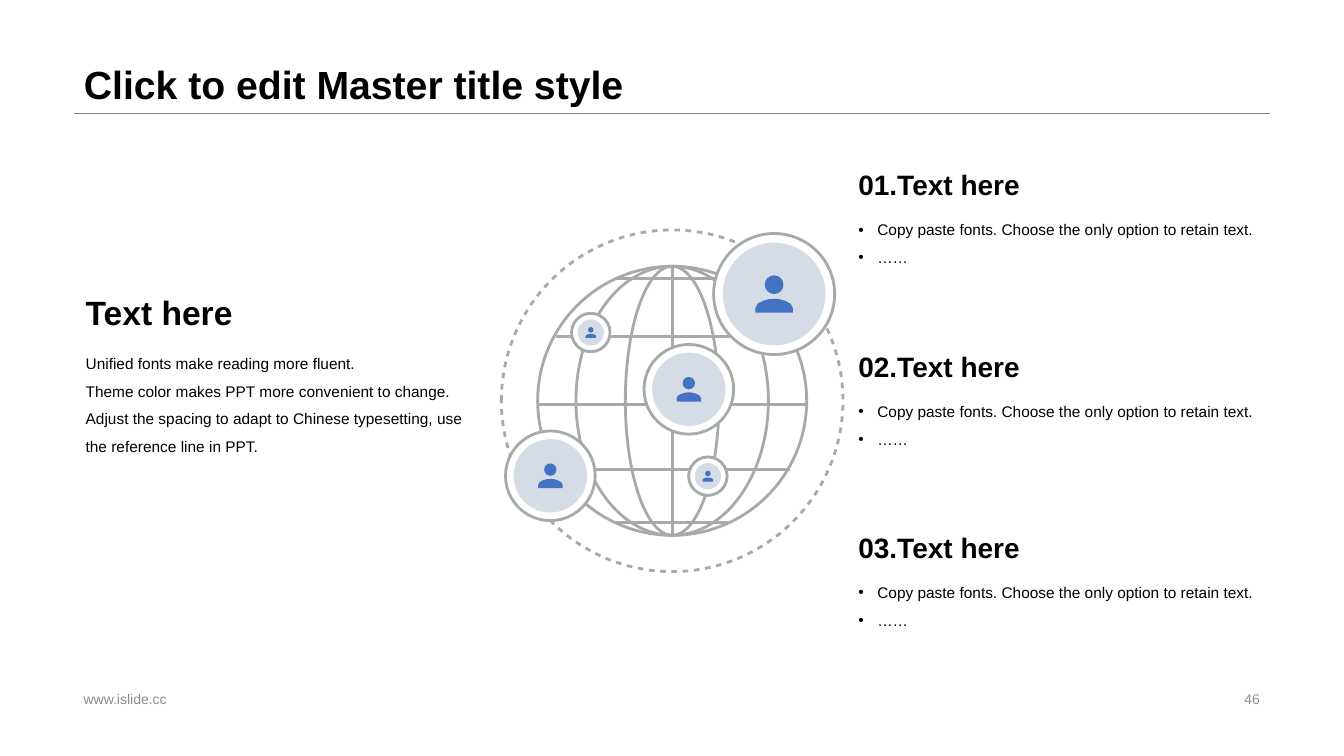
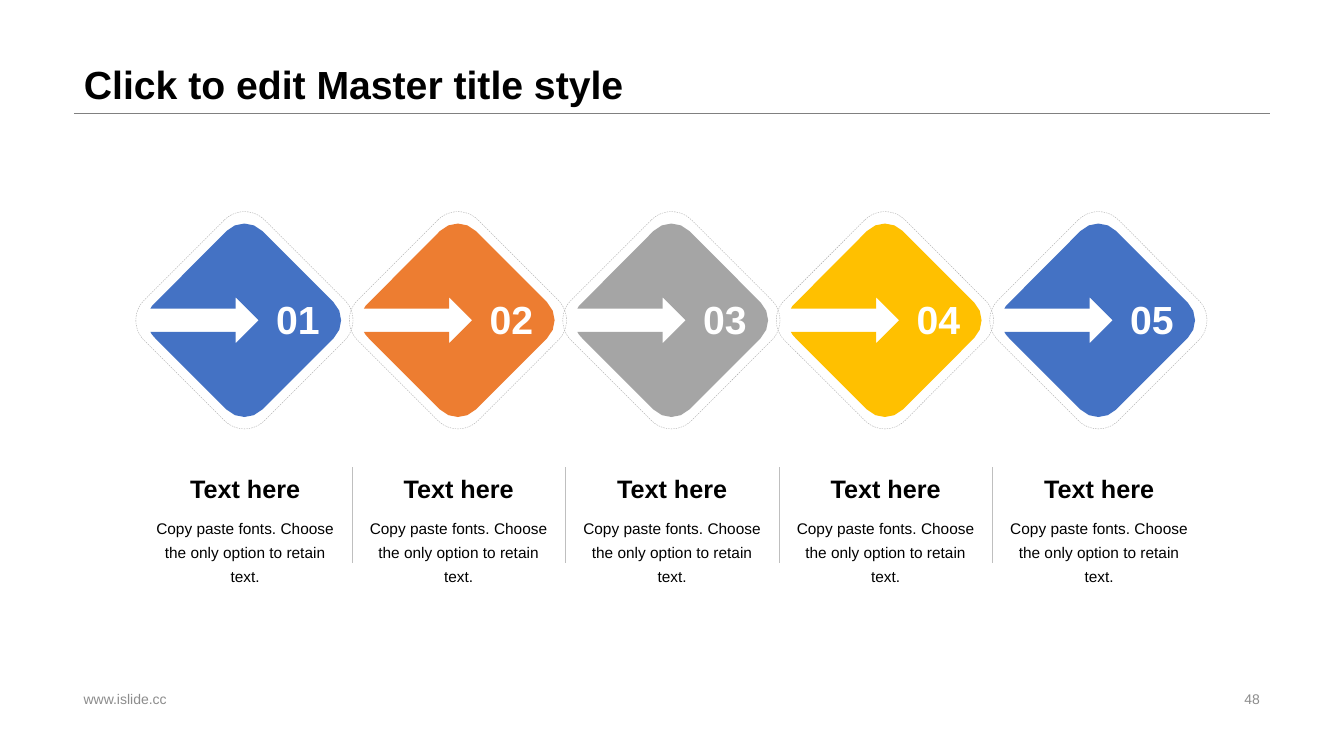
"""Build a globe slide and a five-step diamond slide."""
from dataclasses import dataclass

from lxml import etree
from pptx import Presentation
from pptx.dml.color import RGBColor
from pptx.enum.dml import MSO_LINE
from pptx.enum.shapes import MSO_CONNECTOR, MSO_SHAPE
from pptx.enum.text import MSO_ANCHOR, PP_ALIGN
from pptx.oxml.ns import qn
from pptx.shapes.autoshape import Shape
from pptx.slide import Slide
from pptx.text.text import TextFrame
from pptx.util import Cm, Pt

OVAL, ROUND = MSO_SHAPE.OVAL, MSO_SHAPE.ROUNDED_RECTANGLE
STRAIGHT, DASH = MSO_CONNECTOR.STRAIGHT, MSO_LINE.DASH
LEFT, CENTER, RIGHT = PP_ALIGN.LEFT, PP_ALIGN.CENTER, PP_ALIGN.RIGHT
TOP, MIDDLE, BOTTOM = MSO_ANCHOR.TOP, MSO_ANCHOR.MIDDLE, MSO_ANCHOR.BOTTOM

FONT = "Arial"
BLACK, WHITE, BLUE = "000000", "FFFFFF", "4472C4"
ORANGE, SILVER, GOLD = "ED7D31", "A5A5A5", "FFC000"
MESH, PALE, MUTED = "A6AAA9", "D6DCE5", "8C8C8C"
RULE, DOTS, SPLIT = "808080", "A6A6A6", "BFBFBF"

MARGIN, EDGE = 1.86, 32.0
RULE_Y = 2.84
GLOBE_X, GLOBE_Y, GLOBE = 16.94, 10.1, 6.78
STEP_X, STEP_Y, PITCH = 6.16, 8.07, 5.38
COPY = "Copy paste fonts. Choose the only option to retain text."

Outline = list[tuple[float, ...]]

HEAD_PATH: Outline = [
    (0, 0), (0.14, 0, 0.25, -0.11, 0.25, -0.25),
    (0.25, -0.39, 0.14, -0.5, 0, -0.5),
    (-0.14, -0.5, -0.25, -0.39, -0.25, -0.25),
    (-0.25, -0.11, -0.14, 0, 0, 0),
]
TORSO: Outline = [
    (0, 0.125), (-0.17, 0.125, -0.5, 0.21, -0.5, 0.375), (-0.5, 0.5),
    (0.5, 0.5), (0.5, 0.375), (0.5, 0.21, 0.17, 0.125, 0, 0.125),
]
DIAMOND: Outline = [
    (-0.45, -2.25), (-0.2, -2.5, 0.2, -2.5, 0.45, -2.25),
    (2.25, -0.45), (2.5, -0.2, 2.5, 0.2, 2.25, 0.45),
    (0.45, 2.25), (0.2, 2.5, -0.2, 2.5, -0.45, 2.25),
    (-2.25, 0.45), (-2.33, 0.36), (-2.37, 0.29), (-0.22, 0.29),
    (-0.22, 0.58), (0.36, 0), (-0.22, -0.58), (-0.22, -0.29),
    (-2.37, -0.29), (-2.33, -0.36), (-2.25, -0.45),
]


@dataclass(frozen=True)
class Style:
    """Look of a block of text."""
    size: float
    bold: bool = False
    color: str = BLACK
    align: PP_ALIGN = LEFT
    anchor: MSO_ANCHOR = TOP
    spacing: float = 1.0
    bullet: bool = False


@dataclass(frozen=True)
class Badge:
    """Round user badge: centre, ring, core and icon sizes in cm."""
    x: float
    y: float
    ring: float
    core: float
    icon: float


TITLE = Style(28, True, anchor=BOTTOM, spacing=0.9)
LEAD = Style(24, True, spacing=0.9)
PROSE = Style(11, spacing=1.5)
HEAD = Style(20, True, anchor=BOTTOM)
LIST = Style(11, spacing=1.5, bullet=True)
NUMBER = Style(28, True, WHITE, anchor=MIDDLE)
STEP_HEAD = Style(18, True, align=CENTER, anchor=BOTTOM)
STEP_COPY = Style(11, align=CENTER, spacing=1.3)
FOOT = Style(10, color=MUTED, anchor=MIDDLE)
PAGE = Style(10, color=MUTED, align=RIGHT, anchor=MIDDLE)

BADGES = [
    Badge(19.51, 7.41, 3.05, 2.59, 0.94),
    Badge(17.84, 12.0, 0.97, 0.66, 0.27),
    Badge(13.87, 11.99, 2.26, 1.85, 0.62),
    Badge(14.89, 8.38, 0.97, 0.66, 0.27),
    Badge(17.36, 9.81, 2.26, 1.85, 0.62),
]


def paint(text: str) -> RGBColor:
    """Turn a hex string into a colour."""
    return RGBColor.from_string(text)


def write(frame: TextFrame, lines: list[str], style: Style) -> None:
    """Fill a text frame and style its paragraphs."""
    frame.text = "\n".join(lines)
    frame.word_wrap = True
    frame.vertical_anchor = style.anchor
    for para in frame.paragraphs:
        if style.bullet:
            props = para._p.get_or_add_pPr()
            props.set("marL", str(Cm(0.48)))
            props.set("indent", str(-Cm(0.48)))
            etree.SubElement(props, qn("a:buFont")).set("typeface", FONT)
            etree.SubElement(props, qn("a:buChar")).set("char", "•")
        para.alignment = style.align
        para.line_spacing = style.spacing
        for run in para.runs:
            run.font.name = FONT
            run.font.size = Pt(style.size)
            run.font.bold = style.bold
            run.font.color.rgb = paint(style.color)


def label(slide: Slide, x: float, y: float, w: float, h: float,
          lines: list[str], style: Style) -> None:
    """Add a text box."""
    box = slide.shapes.add_textbox(Cm(x), Cm(y), Cm(w), Cm(h))
    write(box.text_frame, lines, style)


def finish(shape: Shape, fill: str | None, line: str | None = None,
           width: float = 2.0) -> None:
    """Set the fill and line of a shape."""
    shape.shadow.inherit = False
    if fill:
        shape.fill.solid()
        shape.fill.fore_color.rgb = paint(fill)
    else:
        shape.fill.background()
    if line:
        shape.line.color.rgb = paint(line)
        shape.line.width = Pt(width)
    else:
        shape.line.fill.background()


def centred(slide: Slide, kind: MSO_SHAPE, x: float, y: float,
            w: float, h: float) -> Shape:
    """Add a preset shape around a centre point."""
    return slide.shapes.add_shape(
        kind, Cm(x - w / 2), Cm(y - h / 2), Cm(w), Cm(h))


def stroke(slide: Slide, x1: float, y1: float, x2: float, y2: float,
           color: str, width: float) -> None:
    """Add a straight line."""
    line = slide.shapes.add_connector(
        STRAIGHT, Cm(x1), Cm(y1), Cm(x2), Cm(y2))
    line.line.color.rgb = paint(color)
    line.line.width = Pt(width)
    etree.SubElement(line._element.spPr, qn("a:effectLst"))


def flatten(path: Outline, steps: int = 4) -> list[tuple[float, float]]:
    """Turn points and cubic curves into a list of points."""
    points = [path[0]]
    for part in path[1:]:
        if len(part) == 2:
            points.append(part)
            continue
        x0, y0 = points[-1]
        x1, y1, x2, y2, x3, y3 = part
        for step in range(1, steps + 1):
            t = step / steps
            a, b, c, d = (1 - t) ** 3, 3 * t * (1 - t) ** 2, \
                3 * t * t * (1 - t), t ** 3
            points.append((a * x0 + b * x1 + c * x2 + d * x3,
                           a * y0 + b * y1 + c * y2 + d * y3))
    return points


def trace(slide: Slide, paths: list[Outline], x: float, y: float,
          scale: float, fill: str) -> None:
    """Draw filled outlines around a centre point as one shape."""
    rings = [[(Cm(x + scale * u), Cm(y + scale * v))
              for u, v in flatten(path)] for path in paths]
    pen = slide.shapes.build_freeform(*rings[0][0])
    for index, ring in enumerate(rings):
        if index:
            pen.move_to(*ring[0])
        pen.add_line_segments(ring[1:-1], close=True)
    finish(pen.convert_to_shape(), fill)


def start(deck: Presentation, page: str) -> Slide:
    """Add a slide with title, rule and footer."""
    slide = deck.slides.add_slide(deck.slide_layouts[5])
    stroke(slide, MARGIN, RULE_Y, EDGE, RULE_Y, RULE, 0.25)
    title = slide.shapes.title
    title.left, title.top = Cm(MARGIN), Cm(0)
    title.width, title.height = Cm(EDGE - MARGIN), Cm(RULE_Y)
    write(title.text_frame, ["Click to edit Master title style"], TITLE)
    label(slide, MARGIN, 17.32, 11.5, 0.58, ["www.islide.cc"], FOOT)
    label(slide, EDGE - 8.07, 17.32, 8.07, 0.58, [page], PAGE)
    return slide


def user(slide: Slide, badge: Badge) -> None:
    """Draw a round badge with a person icon."""
    x, y = badge.x, badge.y
    finish(centred(slide, OVAL, x, y, badge.ring, badge.ring), WHITE, MESH)
    finish(centred(slide, OVAL, x, y, badge.core, badge.core), PALE)
    trace(slide, [HEAD_PATH, TORSO], x, y, badge.icon, BLUE)


def globe(slide: Slide) -> None:
    """Draw the globe, its orbit and the badges."""
    orbit = centred(slide, OVAL, GLOBE_X, GLOBE_Y, 8.61, 8.61)
    finish(orbit, None, MESH)
    dashes = etree.SubElement(
        orbit._element.spPr.find(qn("a:ln")), qn("a:custDash"))
    dash = etree.SubElement(dashes, qn("a:ds"))
    dash.set("d", "200000")
    dash.set("sp", "200000")
    for width in (GLOBE, 4.85, 2.36):
        ring = centred(slide, OVAL, GLOBE_X, GLOBE_Y, width, GLOBE)
        finish(ring, None, MESH)
    half, axis = GLOBE / 2, GLOBE_X + 0.01
    stroke(slide, axis, 6.76, axis, 13.5, MESH, 2)
    for y, reach in ((10.2, half), (8.47, 2.95), (11.84, 2.95),
                     (7.01, 1.44), (13.16, 1.44)):
        stroke(slide, axis - reach, y, axis + reach, y, MESH, 2)
    for badge in BADGES:
        user(slide, badge)


def network(deck: Presentation) -> None:
    """Build the globe slide."""
    slide = start(deck, "46")
    globe(slide)
    label(slide, 1.91, 7.34, 10.54, 1.22, ["Text here"], LEAD)
    label(slide, 1.91, 8.56, 10.54, 4.32, [
        "Unified fonts make reading more fluent.",
        "Theme color makes PPT more convenient to change.",
        "Adjust the spacing to adapt to Chinese typesetting, "
        "use the reference line in PPT.",
    ], PROSE)
    for row in range(3):
        y = 3.98 + row * 4.57
        label(slide, 21.38, y, 10.62, 1.22, [f"{row + 1:02}.Text here"], HEAD)
        label(slide, 21.38, y + 1.22, 10.62, 1.88, [COPY, "……"], LIST)


def process(deck: Presentation) -> None:
    """Build the diamond slide."""
    slide = start(deck, "48")
    for col, color in enumerate((BLUE, ORANGE, SILVER, GOLD, BLUE)):
        x = STEP_X + col * PITCH
        frame = centred(slide, ROUND, x, STEP_Y, 4.29, 4.29)
        frame.rotation = 45
        finish(frame, None, DOTS, 0.25)
        frame.line.dash_style = DASH
        trace(slide, [DIAMOND], x, STEP_Y, 1, color)
        label(slide, x + 0.55, 7.32, 1.7, 1.45, [f"{col + 1:02}"], NUMBER)
        left = x - 2.62
        label(slide, left, 11.75, 5.28, 1.07, ["Text here"], STEP_HEAD)
        label(slide, left, 12.82, 5.28, 1.55, [COPY], STEP_COPY)
        if col:
            edge = left - 0.05
            stroke(slide, edge, 11.78, edge, 14.19, SPLIT, 0.25)


def main() -> None:
    """Build and save the deck."""
    deck = Presentation()
    deck.slide_width, deck.slide_height = Cm(33.87), Cm(19.05)
    network(deck)
    process(deck)
    deck.save("out.pptx")


if __name__ == "__main__":
    main()
